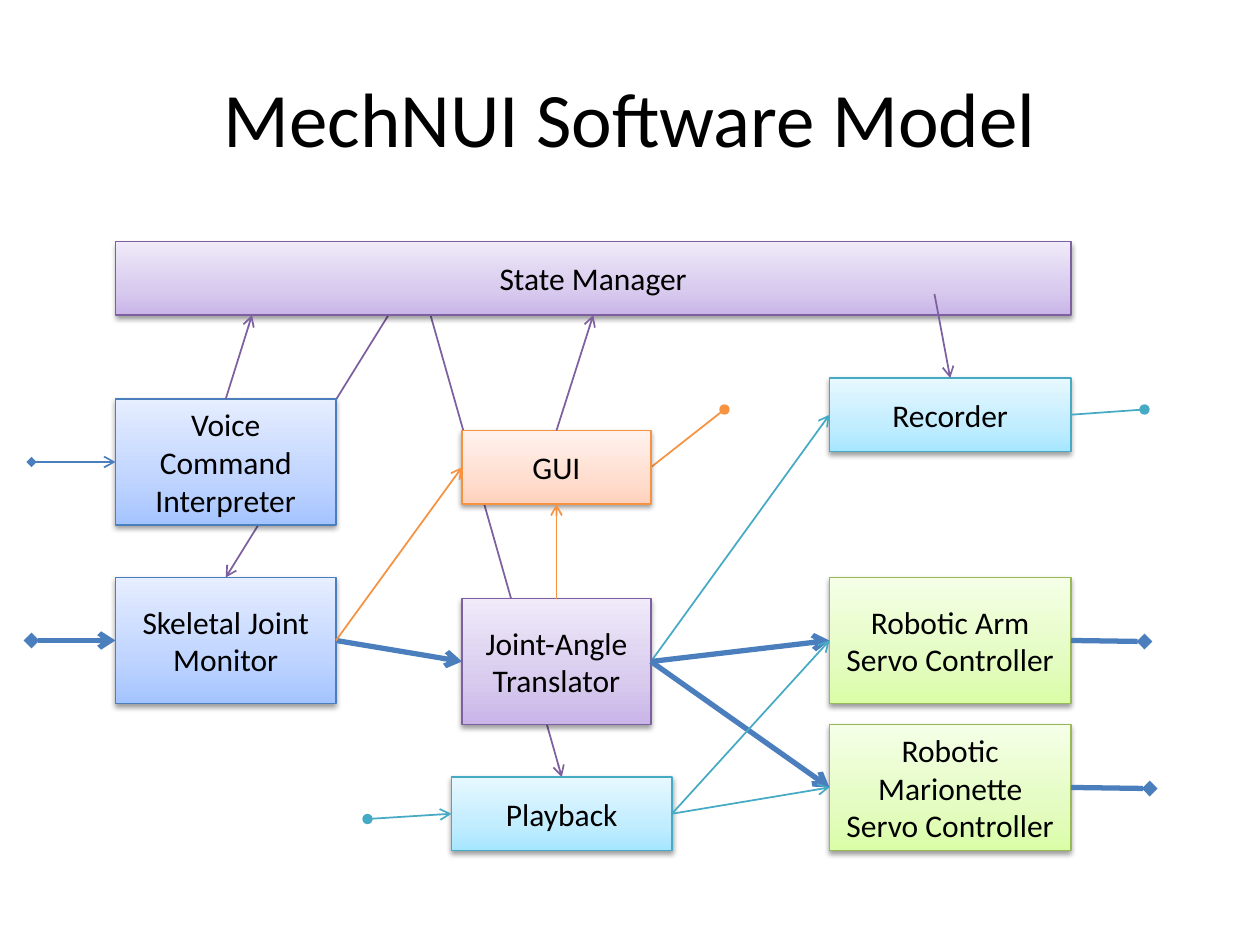
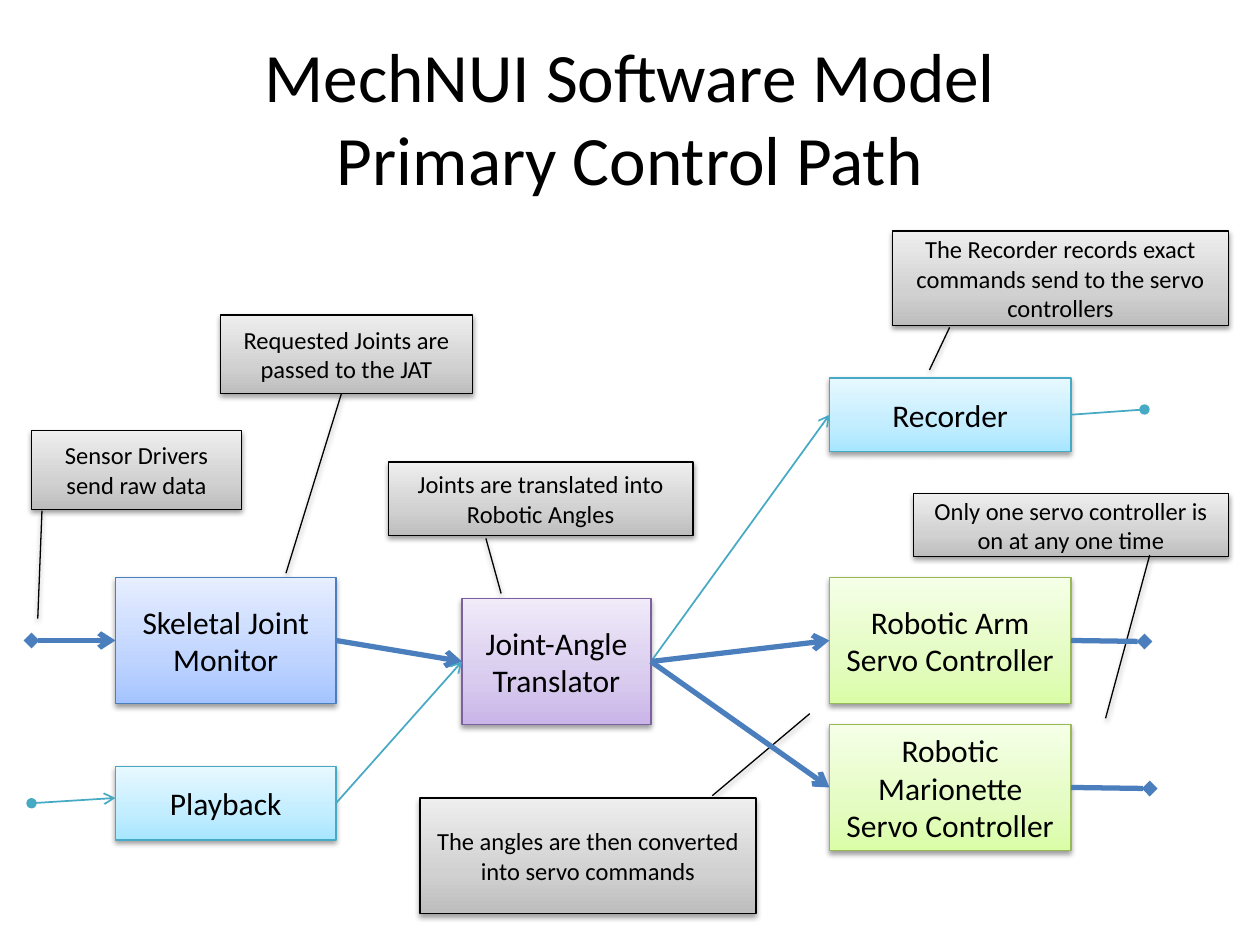
"""Build two slides on a robot control software model."""
from copy import deepcopy

from lxml.etree import SubElement
from pptx import Presentation
from pptx.dml.color import RGBColor
from pptx.enum.shapes import MSO_CONNECTOR as Connector, MSO_SHAPE as Shape
from pptx.enum.text import MSO_ANCHOR as Anchor, PP_ALIGN as Align
from pptx.oxml.ns import qn
from pptx.util import Cm, Pt

COLORS = {
    "black": "000000", "purple": "7D60A0", "blue": "4B7EBC",
    "orange": "F69240", "green": "98B955", "aqua": "46AAC5",
}
GRADIENTS = {
    "black": ("BDBDBD", "D1D1D1", "EEEEEE"),
    "purple": ("C9B5E8", "D8CBEE", "F0EAF9"),
    "blue": ("A4C4FF", "BFD4FF", "E6EEFF"),
    "orange": ("FFD2BD", "FFDED0", "FFF2ED"),
    "green": ("DAFDA7", "E4FCC2", "F5FFE7"),
    "aqua": ("A7E6FF", "C1EDFF", "E7F8FF"),
}
STOPS = (0, 0.35, 1)
TOP, LEFT, BOTTOM, RIGHT = range(4)
FONT = "Calibri"


def grid(*steps):
    """Turn grid steps of a twelfth of an inch into lengths."""
    return [Cm(step * 2.54 / 12) for step in steps]


def write(frame, text, size=18, color="black", align=Align.CENTER):
    """Fill a text frame with one formatted paragraph, broken at newlines."""
    frame.word_wrap = True
    frame.vertical_anchor = Anchor.MIDDLE
    paragraph = frame.paragraphs[0]
    paragraph.alignment = align
    for number, line in enumerate(text.split("\n")):
        if number:
            paragraph.add_line_break()
        run = paragraph.add_run()
        run.text = line
        run.font.size = Pt(size)
        run.font.name = FONT
        run.font.color.rgb = RGBColor.from_string(COLORS[color])


class Diagram:
    """Hold the presentation, the current slide and the drawing style."""

    def __init__(self):
        """Start an empty presentation."""
        self.presentation = Presentation()
        self.presentation.slide_width, self.presentation.slide_height = grid(120, 90)

    def new_slide(self, title, size):
        """Add a slide with its title."""
        self.slide = self.presentation.slides.add_slide(self.presentation.slide_layouts[5])
        shape = self.slide.shapes.title
        shape.left, shape.top, shape.width, shape.height = grid(6, 3.6, 108, 15)
        write(shape.text_frame, title, size=size)

    def box(self, text, area, color, kind=Shape.RECTANGLE, size=18):
        """Draw a gradient box with a soft shadow."""
        shape = self.slide.shapes.add_shape(kind, *grid(*area))
        shape.fill.gradient()
        shape.fill.gradient_angle = 90
        stop_list = shape.element.spPr.find(".//" + qn("a:gsLst"))
        stop_list.insert(1, deepcopy(stop_list[0]))
        for stop, position, tint in zip(shape.fill.gradient_stops, STOPS, GRADIENTS[color]):
            stop.position = position
            stop.color.rgb = RGBColor.from_string(tint)
        shape.line.color.rgb = RGBColor.from_string(COLORS[color])
        shape.line.width = Pt(0.75)
        self.add_shadow(shape)
        write(shape.text_frame, text, size=size)
        return shape

    def add_shadow(self, shape):
        """Replace the theme shadow by a soft one below the shape."""
        shape.shadow.inherit = False
        effects = shape.element.spPr.find(qn("a:effectLst"))
        shadow = SubElement(effects, qn("a:outerShdw"), blurRad=str(Pt(3.1)),
                            dist=str(Pt(1.6)), dir="5400000", rotWithShape="0")
        tint = SubElement(shadow, qn("a:srgbClr"), val=COLORS["black"])
        SubElement(tint, qn("a:alpha"), val="38000")

    def callout(self, text, area, pointer):
        """Draw a grey note whose pointer is given as y, x, y, x ratios."""
        shape = self.box(text, area, "black", kind=Shape.LINE_CALLOUT_1, size=14)
        for index, ratio in enumerate(pointer):
            shape.adjustments[index] = ratio

    def link(self, start, end, color, width=1, head=None, tail="arrow"):
        """Draw a line between grid points or (shape, side) pairs."""
        ends = [point if isinstance(point[0], (int, float)) else (0, 0)
                for point in (start, end)]
        connector = self.slide.shapes.add_connector(
            Connector.STRAIGHT, *grid(*ends[0], *ends[1]))
        if not isinstance(start[0], (int, float)):
            connector.begin_connect(*start)
        if not isinstance(end[0], (int, float)):
            connector.end_connect(*end)
        connector.line.color.rgb = RGBColor.from_string(COLORS[color])
        connector.line.width = Pt(width)
        properties = connector.element.spPr
        outline = properties.find(qn("a:ln"))
        for tag, mark in (("a:headEnd", head), ("a:tailEnd", tail)):
            if mark:
                SubElement(outline, qn(tag), type=mark)
        SubElement(properties, qn("a:effectLst"))

    def control_path(self):
        """Draw the boxes and links that both slides share."""
        monitor = self.box("Skeletal Joint Monitor", (11, 55, 21, 12), "blue")
        translator = self.box("Joint-Angle Translator", (44, 57, 18, 12), "purple")
        arm = self.box("Robotic Arm Servo Controller", (79, 55, 23, 12), "green")
        marionette = self.box("Robotic Marionette Servo Controller", (79, 69, 23, 12), "green")
        recorder = self.box("Recorder", (79, 36, 23, 7), "aqua")
        self.link((translator, RIGHT), (recorder, LEFT), "aqua")
        self.link((109, 39), (recorder, RIGHT), "aqua", head="oval", tail=None)
        self.link((3, 61), (monitor, LEFT), "blue", width=3, head="diamond")
        self.link((monitor, RIGHT), (translator, LEFT), "blue", width=3)
        for controller, exit_point in ((marionette, (109.5, 75.1)), (arm, (109, 61.1))):
            self.link((translator, RIGHT), (controller, LEFT), "blue", width=3)
            self.link((controller, RIGHT), exit_point, "blue", width=3, tail="diamond")
        return monitor, translator, arm, marionette, recorder


def software_model(diagram):
    """Draw the whole model with its state manager."""
    diagram.new_slide("MechNUI Software Model", 44)
    diagram.link((37, 30), (21.5, 55), "purple")
    diagram.link((62, 44.5), (69, 39), "orange", tail="oval")
    diagram.link((41, 30), (53.5, 74), "purple")
    gui = diagram.box("GUI", (44, 41, 18, 7), "orange")
    manager = diagram.box("State Manager", (11, 23, 91, 7), "purple")
    voice = diagram.box("Voice Command Interpreter", (11, 38, 21, 12), "blue")
    playback = diagram.box("Playback", (43, 74, 21, 7), "aqua")
    monitor, translator, arm, marionette, recorder = diagram.control_path()
    diagram.link((voice, TOP), (24, 30), "purple")
    diagram.link((gui, TOP), (manager, BOTTOM), "purple")
    diagram.link((89, 28), (recorder, TOP), "purple")
    diagram.link((translator, TOP), (gui, BOTTOM), "orange")
    diagram.link((monitor, RIGHT), (gui, LEFT), "orange")
    diagram.link((3, 44), (voice, LEFT), "blue", head="diamond")
    diagram.link((35, 78), (playback, LEFT), "aqua", head="oval")
    for controller in (arm, marionette):
        diagram.link((playback, RIGHT), (controller, LEFT), "aqua")


def primary_path(diagram):
    """Draw the main control path with its notes."""
    diagram.new_slide("MechNUI Software Model\nPrimary Control Path", 39.6)
    notes = (
        ("Sensor Drivers send raw data", (3, 41, 20, 7.5), (1.02, 0.05, 2.39, 0.03)),
        ("Requested Joints are passed to the JAT", (21, 30, 24, 7.5), (1, 0.48, 3.28, 0.26)),
        ("The Recorder records exact commands send to the servo controllers",
         (85, 22, 32, 9), (1.02, 0.17, 1.47, 0.11)),
        ("The angles are then converted into servo commands",
         (40, 76, 32, 11), (-0.02, 0.87, -0.73, 1.16)),
        ("Joints are translated into Robotic Angles", (37, 44, 29, 7), (1.04, 0.32, 1.79, 0.37)),
        ("Only one servo controller is on at any one time",
         (87, 47, 30, 6), (0.98, 0.75, 3.57, 0.61)),
    )
    for note in notes:
        diagram.callout(*note)
    playback = diagram.box("Playback", (11, 73, 21, 7), "aqua")
    translator = diagram.control_path()[1]
    diagram.link((playback, RIGHT), (translator, LEFT), "aqua")
    diagram.link((3, 76.5), (11, 76), "aqua", head="oval")


def main():
    """Build both slides and save them."""
    diagram = Diagram()
    software_model(diagram)
    primary_path(diagram)
    diagram.presentation.save("out.pptx")


if __name__ == "__main__":
    main()
